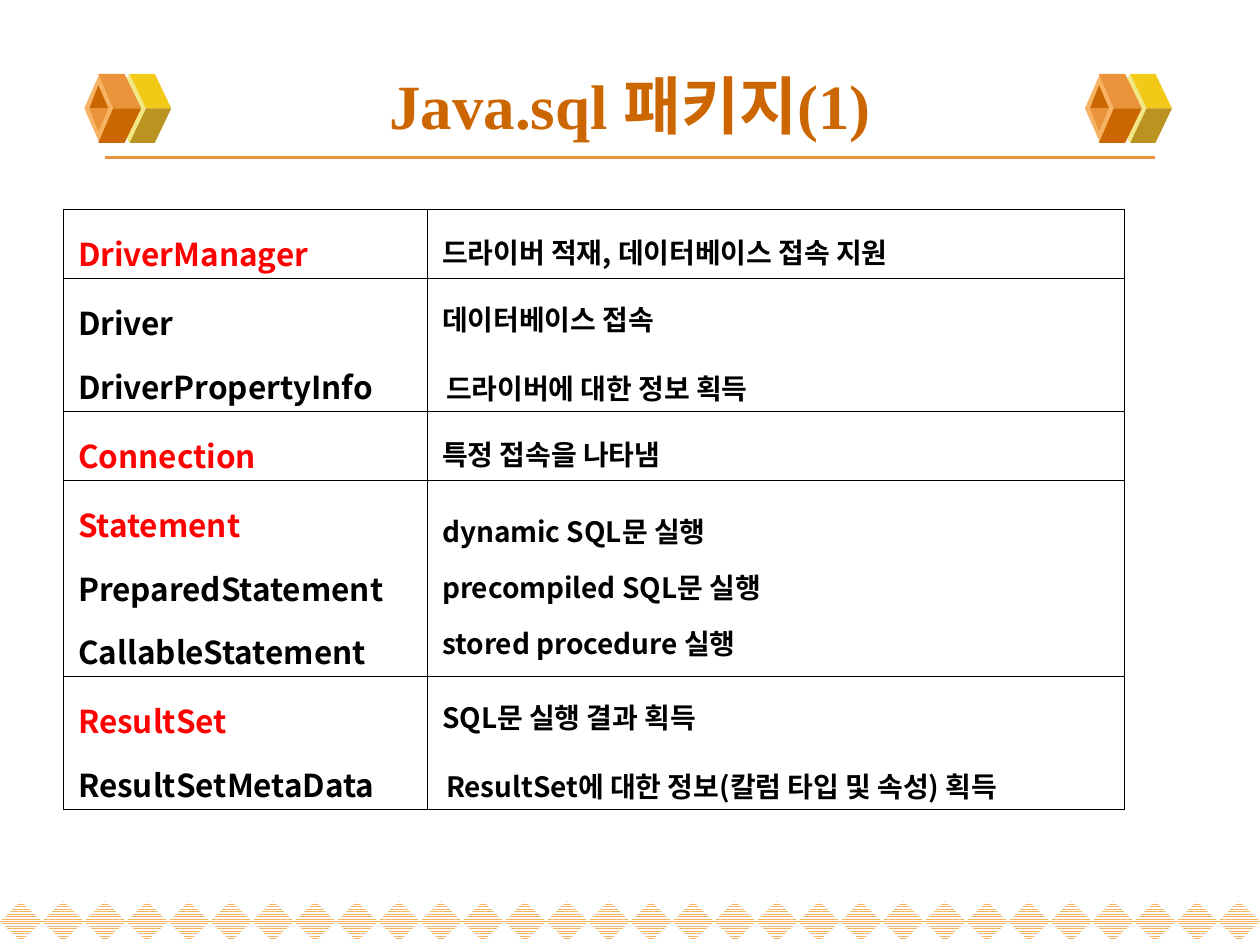
from dataclasses import dataclass

import lxml.etree
import pptx
import pptx.dml.color
import pptx.enum.dml
import pptx.enum.shapes
import pptx.enum.text
import pptx.oxml.ns
import pptx.util

Pt = pptx.util.Pt
qn = pptx.oxml.ns.qn
SHAPE = pptx.enum.shapes.MSO_SHAPE
ALIGN = pptx.enum.text.PP_ALIGN
MIDDLE = pptx.enum.text.MSO_ANCHOR.MIDDLE


@dataclass(frozen=True)
class Theme:
    title_font: str = "Times New Roman"
    body_font: str = "Noto Sans CJK KR"
    title_size: float = 36
    name_size: float = 18
    note_size: float = 16
    border_width: float = 0.28
    white: str = "FFFFFF"
    black: str = "000000"
    red: str = "FF0000"
    brown: str = "CC6600"
    orange: str = "EB933B"
    peach: str = "F5B363"
    cream: str = "F1E785"
    gold: str = "F3C917"
    olive: str = "BB9321"


THEME = Theme()


@dataclass(frozen=True)
class Line:
    text: str
    size: float
    color: str = THEME.black
    indent: float = 3.6
    spacing: float = 1.4


@dataclass(frozen=True)
class Row:
    height: float
    names: list[Line]
    notes: list[Line]


@dataclass(frozen=True)
class Face:
    points: list[tuple[float, float]]
    upper: str
    lower: str


def name(text: str, color: str = THEME.black) -> Line:
    return Line(text, THEME.name_size, color)


def key_name(text: str) -> Line:
    return name(text, THEME.red)


def note(text: str) -> Line:
    return Line(text, THEME.note_size)


def loose_note(text: str) -> Line:
    return Line(text, THEME.note_size, indent=5.8, spacing=1.7)


ROWS = [
    Row(37.4, [key_name("DriverManager")], [note("드라이버 적재, 데이터베이스 접속 지원")]),
    Row(71.3, [name("Driver"), name("DriverPropertyInfo")],
        [note("데이터베이스 접속"), loose_note("드라이버에 대한 정보 획득")]),
    Row(37.4, [key_name("Connection")], [note("특정 접속을 나타냄")]),
    Row(105.8, [key_name("Statement"), name("PreparedStatement"), name("CallableStatement")],
        [note("dynamic SQL문 실행"), note("precompiled SQL문 실행"), note("stored procedure 실행")]),
    Row(71.3, [key_name("ResultSet"), name("ResultSetMetaData")],
        [note("SQL문 실행 결과 획득"), loose_note("ResultSet에 대한 정보(칼럼 타입 및 속성) 획득")]),
]
COLUMN_WIDTHS = [208.1, 398.2]

CUBE_HEIGHT = 39.4
CUBE_MIDDLE = CUBE_HEIGHT / 2
CAP_FACE = Face([(35.3, CUBE_MIDDLE), (49.7, CUBE_MIDDLE), (40.3, 0), (25.9, 0)], THEME.gold, THEME.olive)
BLOCK_FACE = Face([(16.5, CUBE_MIDDLE), (32.5, CUBE_MIDDLE), (23, 0), (8, 0)], THEME.orange, THEME.brown)
HOLE_FACE = Face([(8, 6.5), (2.9, CUBE_MIDDLE), (13.7, CUBE_MIDDLE)], THEME.brown, THEME.orange)


def rgb(color: str) -> pptx.dml.color.RGBColor:
    return pptx.dml.color.RGBColor.from_string(color)


def paint(shape, color: str) -> None:
    shape.shadow.inherit = False
    shape.fill.solid()
    shape.fill.fore_color.rgb = rgb(color)
    shape.line.fill.background()


def style_text(para, font_name: str, size: float, color: str) -> None:
    font = para.font
    font.name = font_name
    font.size = Pt(size)
    font.bold = True
    font.color.rgb = rgb(color)
    defaults = para._p.pPr.find(qn("a:defRPr"))
    east_asian = lxml.etree.Element(qn("a:ea"), typeface=THEME.body_font)
    defaults.find(qn("a:latin")).addnext(east_asian)


def draw_diamond(page, left: float, top: float, width: float, height: float, color: str):
    diamond = page.shapes.add_shape(SHAPE.DIAMOND, Pt(left), Pt(top), Pt(width), Pt(height))
    paint(diamond, color)
    return diamond


def draw_face(page, left: float, top: float, face: Face) -> None:
    mirrored = [(x, CUBE_HEIGHT - y) for x, y in face.points]
    for points, color in ((face.points, face.upper), (mirrored, face.lower)):
        corners = [(Pt(left + x), Pt(top + y)) for x, y in points]
        builder = page.shapes.build_freeform(*corners[0])
        builder.add_line_segments(corners[1:], close=True)
        paint(builder.convert_to_shape(), color)


def draw_cube(page, left: float, top: float) -> None:
    draw_diamond(page, left + 13.8, top, 24, CUBE_HEIGHT, THEME.cream)
    draw_face(page, left, top, CAP_FACE)
    draw_diamond(page, left, top, 17.3, CUBE_HEIGHT, THEME.peach)
    draw_face(page, left, top, BLOCK_FACE)
    draw_face(page, left, top, HOLE_FACE)


def draw_footer(page) -> None:
    for index in range(30):
        diamond = draw_diamond(page, index * 24, 515, 24, 23, THEME.white)
        diamond.fill.patterned()
        diamond.fill.pattern = pptx.enum.dml.MSO_PATTERN.NARROW_HORIZONTAL
        diamond.fill.fore_color.rgb = rgb(THEME.peach)
        diamond.fill.back_color.rgb = rgb(THEME.white)


def draw_rule(page) -> None:
    rule = page.shapes.add_connector(
        pptx.enum.shapes.MSO_CONNECTOR.STRAIGHT, Pt(60), Pt(90), Pt(660), Pt(90))
    rule.line.color.rgb = rgb(THEME.orange)
    rule.line.width = Pt(2.25)
    lxml.etree.SubElement(rule._element.spPr, qn("a:effectLst"))


def write_title(page, text: str) -> None:
    title = page.shapes.title
    title.left, title.top, title.width, title.height = Pt(36), Pt(28.8), Pt(648), Pt(61.2)
    title.text_frame.vertical_anchor = MIDDLE
    para = title.text_frame.paragraphs[0]
    para.text = text
    para.alignment = ALIGN.CENTER
    style_text(para, THEME.title_font, THEME.title_size, THEME.brown)


def add_borders(cell) -> None:
    properties = cell._tc.get_or_add_tcPr()
    for side in ("a:lnL", "a:lnR", "a:lnT", "a:lnB"):
        border = lxml.etree.SubElement(properties, qn(side), w=str(Pt(THEME.border_width)))
        fill = lxml.etree.SubElement(border, qn("a:solidFill"))
        lxml.etree.SubElement(fill, qn("a:srgbClr"), val=THEME.black)


def fill_cell(cell, lines: list[Line]) -> None:
    add_borders(cell)
    cell.fill.background()
    cell.vertical_anchor = MIDDLE
    cell.margin_left = cell.margin_right = Pt(5)
    cell.margin_top = cell.margin_bottom = Pt(1.5)
    frame = cell.text_frame
    for index, line in enumerate(lines):
        para = frame.add_paragraph() if index else frame.paragraphs[0]
        para.text = line.text
        para.alignment = ALIGN.JUSTIFY
        para.line_spacing = line.spacing
        para._p.get_or_add_pPr().set("indent", str(Pt(line.indent)))
        style_text(para, THEME.body_font, line.size, line.color)


def draw_table(page) -> None:
    height = sum(row.height for row in ROWS)
    frame = page.shapes.add_table(
        len(ROWS), len(COLUMN_WIDTHS), Pt(36), Pt(119.5), Pt(sum(COLUMN_WIDTHS)), Pt(height))
    table = frame.table
    table.first_row = table.horz_banding = False
    for column, width in zip(table.columns, COLUMN_WIDTHS):
        column.width = Pt(width)
    for index, row in enumerate(ROWS):
        table.rows[index].height = Pt(row.height)
        fill_cell(table.cell(index, 0), row.names)
        fill_cell(table.cell(index, 1), row.notes)


def main() -> None:
    deck = pptx.Presentation()
    deck.slide_width, deck.slide_height = Pt(720), Pt(540)
    page = deck.slides.add_slide(deck.slide_layouts.get_by_name("Title Only"))
    draw_footer(page)
    draw_rule(page)
    for left in (48.2, 620):
        draw_cube(page, left, 42.2)
    write_title(page, "Java.sql 패키지(1)")
    draw_table(page)
    deck.save("out.pptx")


if __name__ == "__main__":
    main()
